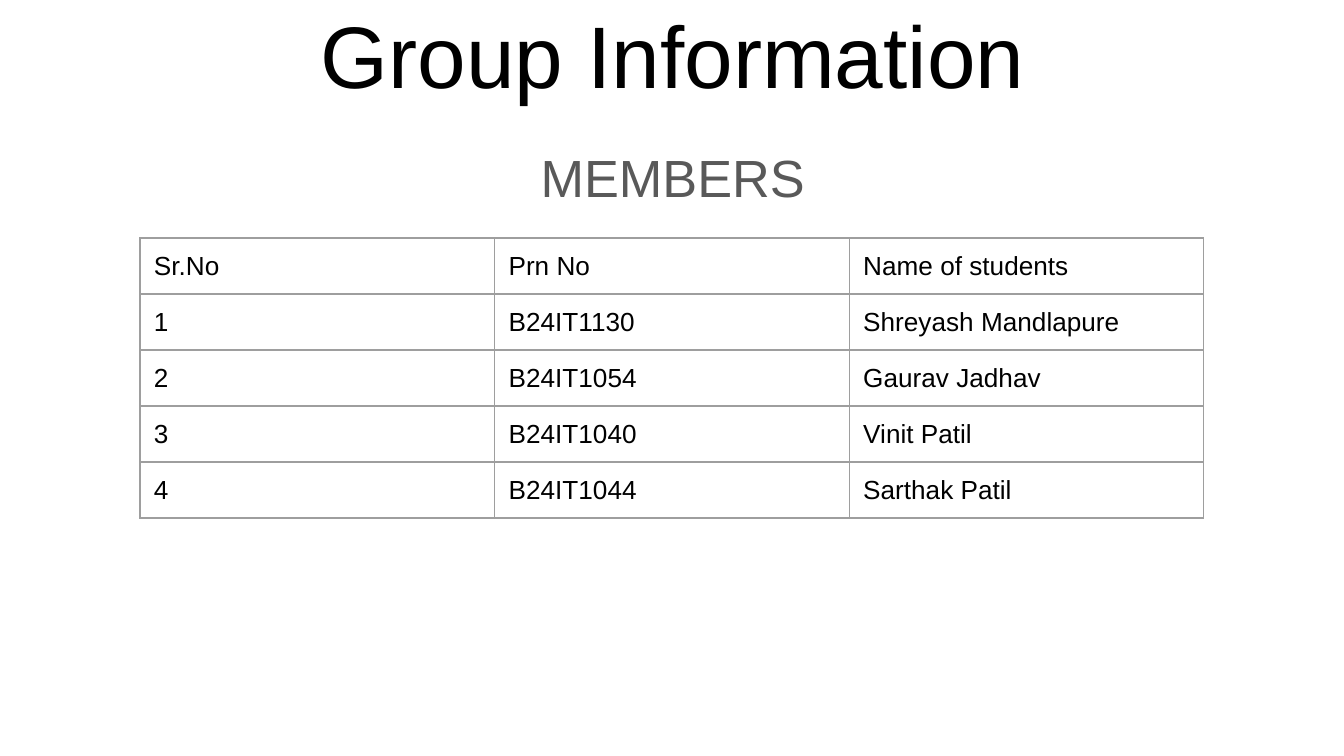
from lxml.etree import SubElement
from pptx import Presentation
from pptx.dml.color import RGBColor
from pptx.enum.text import MSO_ANCHOR, PP_ALIGN
from pptx.oxml.ns import qn
from pptx.util import Pt

SCALE = 9525  # EMU per px, 96 px to the inch
INSET = 10
ROW = 40
COLORS = {"ink": "000000", "muted": "595959", "rule": "9E9E9E", "page": "FFFFFF"}
MEMBERS = [
    ("Sr.No", "Prn No", "Name of students"),
    ("1", "B24IT1130", "Shreyash Mandlapure"),
    ("2", "B24IT1054", "Gaurav Jadhav"),
    ("3", "B24IT1040", "Vinit Patil"),
    ("4", "B24IT1044", "Sarthak Patil"),
]


def px(n):
    return n * SCALE


def rgb(name):
    return RGBColor.from_string(COLORS[name])


def pad(item, bottom=INSET):
    """Set the insets of a text frame or a cell."""
    item.margin_left = item.margin_right = item.margin_top = px(INSET)
    item.margin_bottom = px(bottom)


def write(para, text, size, color):
    run = para.add_run()
    run.text = text
    run.font.name = "Arial"
    run.font.size = Pt(size)
    run.font.color.rgb = rgb(color)


def heading(slide, box, text, size, color, anchor):
    frame = slide.shapes.add_textbox(*map(px, box)).text_frame
    frame.word_wrap = True
    frame.vertical_anchor = anchor
    pad(frame)
    para = frame.paragraphs[0]
    para.alignment = PP_ALIGN.CENTER
    write(para, text, size, color)


def border(cell):
    props = cell._tc.get_or_add_tcPr()
    for place, side in enumerate(("lnL", "lnR", "lnT", "lnB")):
        line = SubElement(props, qn(f"a:{side}"), w=str(Pt(0.75)))
        fill = SubElement(line, qn("a:solidFill"))
        SubElement(fill, qn("a:srgbClr"), val=COLORS["rule"])
        props.insert(place, line)  # borders come before the fill


def roster(slide, box, rows):
    frame = slide.shapes.add_table(len(rows), len(rows[0]), *map(px, box))
    table = frame.table
    table.first_row = table.horz_banding = False
    for r, row in enumerate(rows):
        for c, text in enumerate(row):
            cell = table.cell(r, c)
            cell.fill.background()
            pad(cell, bottom=7)  # lets the line fit the row height
            border(cell)
            write(cell.text_frame.paragraphs[0], text, 14, "ink")


def main():
    deck = Presentation()
    deck.slide_width, deck.slide_height = px(960), px(540)
    slide = deck.slides.add_slide(deck.slide_layouts[6])
    slide.background.fill.solid()
    slide.background.fill.fore_color.rgb = rgb("page")
    heading(slide, (33, 16, 895, 70), "Group Information", 46.8, "ink", MSO_ANCHOR.BOTTOM)
    heading(slide, (33, 94, 895, 287), "MEMBERS", 28, "muted", MSO_ANCHOR.TOP)
    roster(slide, (100, 170, 760, ROW * len(MEMBERS)), MEMBERS)
    deck.save("out.pptx")


if __name__ == "__main__":
    main()
